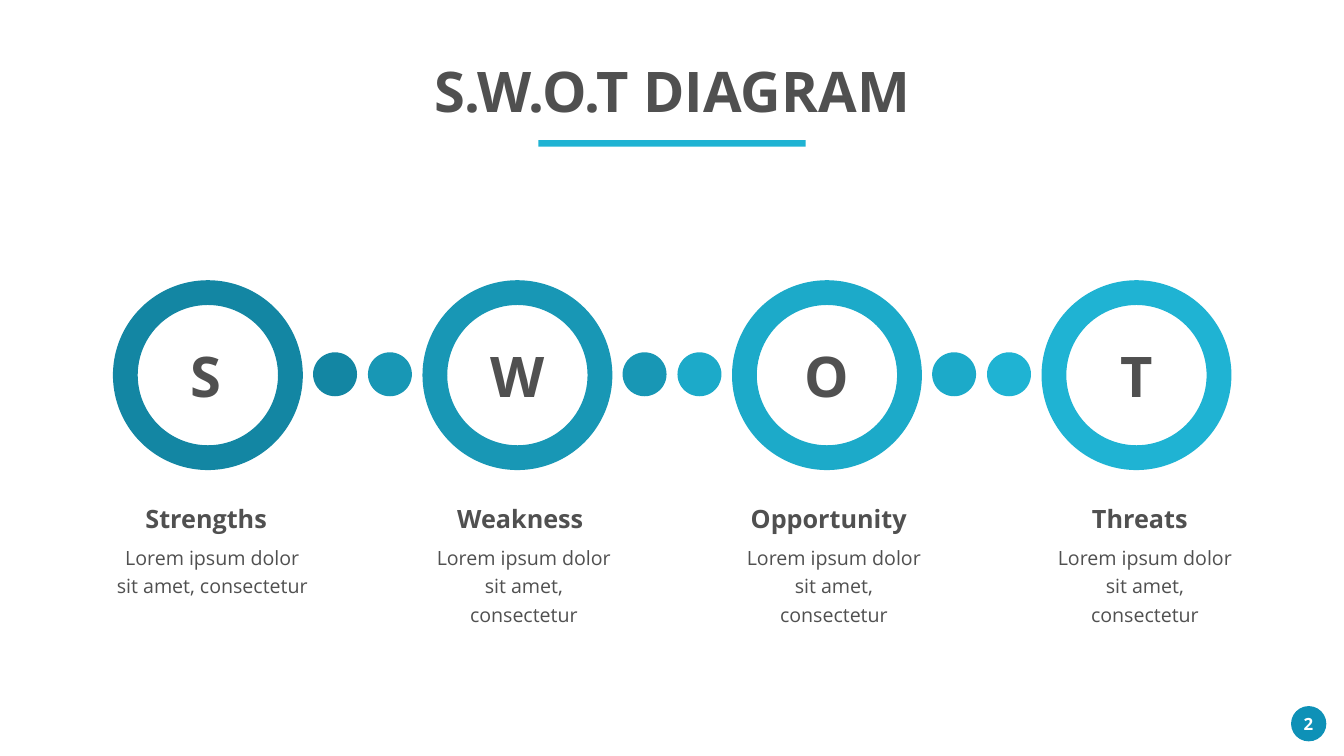
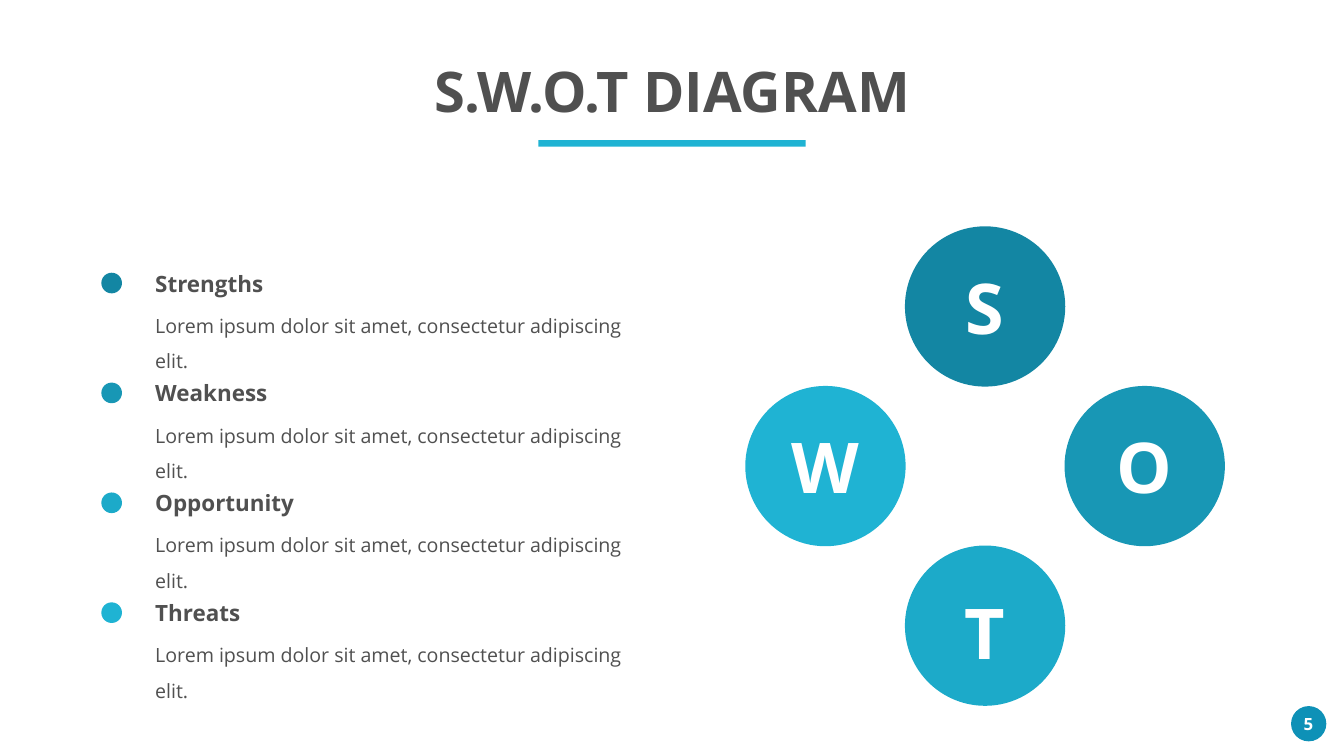
"""Builds two S.W.O.T. slides: a chain of rings and a circle cross with a list."""
from pptx import Presentation
from pptx.dml.color import RGBColor
from pptx.enum.shapes import MSO_SHAPE
from pptx.enum.text import MSO_ANCHOR, PP_ALIGN
from pptx.util import Pt

OVAL, DONUT, RECTANGLE = MSO_SHAPE.OVAL, MSO_SHAPE.DONUT, MSO_SHAPE.RECTANGLE
LEFT, CENTER, TOP = PP_ALIGN.LEFT, PP_ALIGN.CENTER, MSO_ANCHOR.TOP

FONT = "Open Sans"
WHITE, GREY, ACCENT, BADGE = "FFFFFF", "505050", "1FB3D3", "0E91B7"
SHADES = ["1386A3", "1897B5", "1CAAC9", ACCENT]
TITLE = "S.W.O.T DIAGRAM"
NAMES = ["Strengths", "Weakness", "Opportunity", "Threats"]
SHORT_TEXT = "Lorem ipsum dolor sit amet, consectetur"
LONG_TEXT = "Lorem ipsum dolor sit amet, consectetur adipiscing elit."

STYLES = {
    "title": {"size": Pt(80), "bold": True, "color": GREY},
    "heading": {"size": Pt(36), "bold": True, "color": GREY},
    "list heading": {"size": Pt(32), "bold": True, "color": GREY},
    "body": {"size": Pt(28), "bold": False, "color": GREY},
    "circle letter": {"size": Pt(100), "bold": True, "color": WHITE},
    "page number": {"size": Pt(24), "bold": True, "color": WHITE},
}

# letter, letter left, text left, text width
COLUMNS = [
    ("S", 234, 158.4, 289.4),
    ("W", 679, 607, 282.2),
    ("O", 1121, 1047.6, 286.6),
    ("T", 1563.1, 1491.8, 286.6),
]
# letter, column step, row step, shade, letter width, letter drop
CROSS = [
    ("S", 0, -1, 0, 70.6, 0),
    ("T", 0, 1, 2, 74.9, 9),
    ("O", 1, 0, 1, 95, 0),
    ("W", -1, 0, 3, 112.3, 0),
]
HEADING_WIDTHS = [169.9, 176.4, 214.6, 163.4]


def rgb(value):
    """Turn a hex string into a colour."""
    return RGBColor.from_string(value)


def add_figure(slide, kind, left, top, width, height, color):
    """Add a plain filled shape."""
    shape = slide.shapes.add_shape(kind, Pt(left), Pt(top), Pt(width), Pt(height))
    shape.shadow.inherit = False
    shape.fill.solid()
    shape.fill.fore_color.rgb = rgb(color)
    shape.line.fill.background()
    return shape


def add_text(slide, text, style, left, top, width, height,
             align=CENTER, spacing=None, wrap=True):
    """Add a text box with one paragraph in a named style."""
    box = slide.shapes.add_textbox(Pt(left), Pt(top), Pt(width), Pt(height))
    frame = box.text_frame
    frame.word_wrap = wrap
    frame.vertical_anchor = TOP
    paragraph = frame.paragraphs[0]
    paragraph.alignment = align
    paragraph.line_spacing = spacing
    run = paragraph.add_run()
    run.text = text
    run.font.name = FONT
    for name, value in STYLES[style].items():
        if name == "color":
            run.font.color.rgb = rgb(value)
        else:
            setattr(run.font, name, value)


def add_base(presentation, number):
    """Add a slide with the shared title, rule and page badge."""
    slide = presentation.slides.add_slide(presentation.slide_layouts[6])
    slide.background.fill.solid()
    slide.background.fill.fore_color.rgb = rgb(WHITE)
    add_figure(slide, OVAL, 1843.9, 1008.7, 50.4, 50.4, BADGE)
    add_text(slide, str(number), "page number", 1840.3, 1015.9, 56.9, 36)
    add_figure(slide, RECTANGLE, 769, 200.2, 381.6, 9.4, ACCENT)
    add_text(slide, TITLE, "title", 566.6, 77.8, 787, 104.4)
    return slide


def add_chain(slide):
    """Draw the row of rings joined by pairs of dots, with captions."""
    pitch, ring, band, dot = 442.08, 271.2, 35.4, 62.8
    for index, (letter, letter_left, left, width) in enumerate(COLUMNS):
        ring_left = 161.3 + index * pitch
        shape = add_figure(slide, DONUT, ring_left, 400.3, ring, ring, SHADES[index])
        shape.adjustments[0] = band / ring
        for step, shade in enumerate(SHADES[index:index + 2]):
            if index < len(COLUMNS) - 1:
                dot_left = ring_left + 285.8 + step * 78.4
                add_figure(slide, OVAL, dot_left, 503.3, dot, dot, shade)
        add_text(slide, letter, "title", letter_left, 483.8, 119.5, 104.4)
        add_text(slide, NAMES[index], "heading", left + 11.5, 715.7, 249.1, 51.1)
        add_text(slide, SHORT_TEXT, "body", left, 769, width, 90, spacing=Pt(40.8))


def add_cross(slide):
    """Draw four lettered circles around a hub."""
    hub_x, hub_y, step, size, height = 1406.9, 665.8, 228, 229, 128
    for letter, column, row, shade, width, drop in CROSS:
        x, y = hub_x + column * step, hub_y + row * step
        add_figure(slide, OVAL, x - size / 2, y - size / 2, size, size, SHADES[shade])
        add_text(slide, letter, "circle letter", x - width / 2,
                 y - height / 2 + drop, width, height, wrap=False)


def add_list(slide):
    """Write the list of headings and texts with dots."""
    left, pitch, dot = 214.6, 156.96, 29.5
    for index, (name, width) in enumerate(zip(NAMES, HEADING_WIDTHS)):
        top = 381.6 + index * pitch
        add_figure(slide, OVAL, 144.7, top + 8, dot, dot, SHADES[index])
        add_text(slide, name, "list heading", left, top, width, 46, LEFT, wrap=False)
        add_text(slide, LONG_TEXT, "body", left, top + 46.1, 692.6, 103.7, LEFT, 1.5)


presentation = Presentation()
presentation.slide_width, presentation.slide_height = Pt(1919.52), Pt(1080)
add_chain(add_base(presentation, 2))
cross_slide = add_base(presentation, 5)
add_cross(cross_slide)
add_list(cross_slide)
presentation.save("out.pptx")
